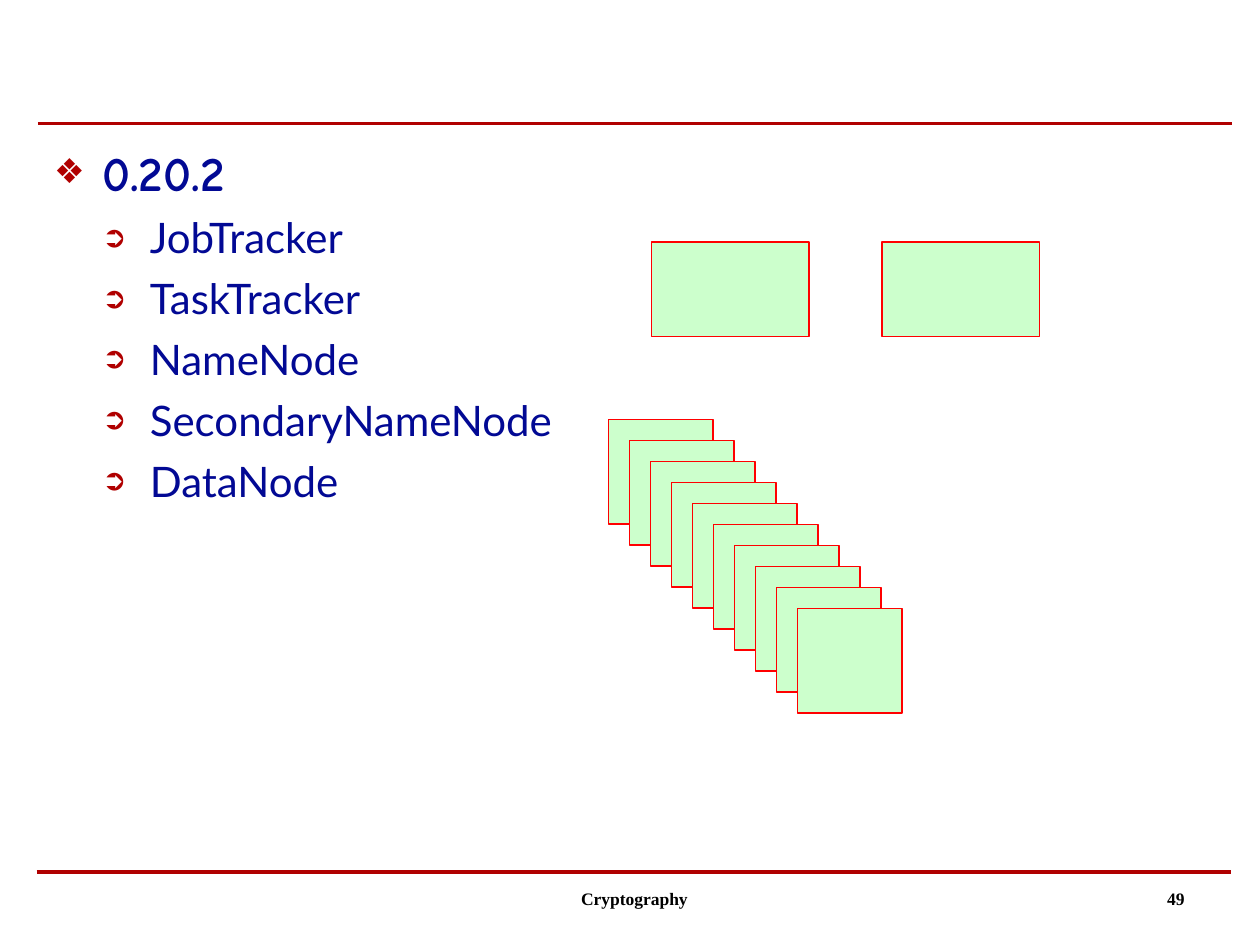
"""Build a slide with a two-level bullet list beside rows of plain boxes."""
from lxml.etree import SubElement
from pptx import Presentation
from pptx.dml.color import RGBColor
from pptx.enum.shapes import MSO_CONNECTOR, MSO_SHAPE
from pptx.enum.text import MSO_ANCHOR, MSO_AUTO_SIZE, PP_ALIGN
from pptx.oxml.ns import qn
from pptx.util import Inches, Pt

COLORS = {
    "rule": "B00000",
    "body": "020994",
    "footer": "000000",
    "box_fill": "CCFFCC",
    "box_line": "FF0000",
}
ITEMS = ["JobTracker", "TaskTracker", "NameNode", "SecondaryNameNode", "DataNode"]


def color(name):
    return RGBColor.from_string(COLORS[name])


def write(p, text, *, font, size, fill, bold=False, align=PP_ALIGN.LEFT,
          before=0, left=0, hang=0, bullet=None):
    pPr = p._p.get_or_add_pPr()
    pPr.set("marL", str(Inches(left)))
    pPr.set("indent", str(-Inches(hang)))
    if bullet:
        clr = SubElement(pPr, qn("a:buClr"))
        SubElement(clr, qn("a:srgbClr"), val=COLORS["rule"])
        SubElement(pPr, qn("a:buSzPct"), val="70000")
        SubElement(pPr, qn("a:buChar"), char=bullet)
    p.alignment = align
    p.space_before = Pt(before)
    r = p.add_run()
    r.text = text
    r.font.name = font
    r.font.size = Pt(size)
    r.font.bold = bold
    r.font.color.rgb = color(fill)


class SlideBuilder:
    def __init__(self, slide):
        self.s = slide
        self.footer_style = dict(font="Times New Roman", size=10, fill="footer",
                                 bold=True, left=0.24)
        self.body_style = dict(fill="body", hang=0.38)

    def rule(self, x1, x2, y):
        ln = self.s.shapes.add_connector(
            MSO_CONNECTOR.STRAIGHT, Inches(x1), Inches(y), Inches(x2), Inches(y))
        ln.line.color.rgb = color("rule")
        ln.line.width = Pt(2)
        SubElement(ln._element.spPr, qn("a:effectLst"))

    def box(self, x, y, w, h):
        sp = self.s.shapes.add_shape(
            MSO_SHAPE.RECTANGLE, Inches(x), Inches(y), Inches(w), Inches(h))
        sp.shadow.inherit = False
        sp.fill.solid()
        sp.fill.fore_color.rgb = color("box_fill")
        sp.line.color.rgb = color("box_line")
        sp.line.width = Pt(1)

    def outline(self, heading, items, x, y, w, h):
        sp = self.s.placeholders[1]
        sp.left, sp.top, sp.width, sp.height = map(Inches, (x, y, w, h))
        tf = sp.text_frame
        tf.word_wrap = True
        tf.auto_size = MSO_AUTO_SIZE.NONE
        tf.vertical_anchor = MSO_ANCHOR.TOP
        write(tf.paragraphs[0], heading, font="Comic Neue", size=28, bold=True,
              left=0.38, bullet="❖", **self.body_style)
        for item in items:
            p = tf.add_paragraph()
            p.level = 1
            write(p, item, font="Lato", size=24, before=6, left=0.76,
                  bullet="➲", **self.body_style)

    def footer(self, text, x, y, w, h, align):
        tf = self.s.shapes.add_textbox(
            Inches(x), Inches(y), Inches(w), Inches(h)).text_frame
        tf.word_wrap = True
        write(tf.paragraphs[0], text, align=align, **self.footer_style)


def main():
    prs = Presentation()
    prs.slide_width, prs.slide_height = Inches(10), Inches(7.5)
    s = prs.slides.add_slide(prs.slide_layouts[1])
    title = s.shapes.title._element
    title.getparent().remove(title)

    b = SlideBuilder(s)
    b.rule(0.29, 9.77, 6.92)
    b.rule(0.3, 9.78, 0.98)
    b.outline("0.20.2", ITEMS, 0.33, 1.08, 9.42, 5.75)
    for x in (5.17, 7):
        b.box(x, 1.92, 1.25, 0.75)
    for i in range(10):
        b.box(4.83 + i / 6, 3.33 + i / 6, 0.83, 0.83)
    b.footer("Cryptography", 3.33, 7, 3.17, 0.5, PP_ALIGN.CENTER)
    b.footer("49", 7.17, 7, 2.33, 0.46, PP_ALIGN.RIGHT)
    prs.save("out.pptx")


if __name__ == "__main__":
    main()
